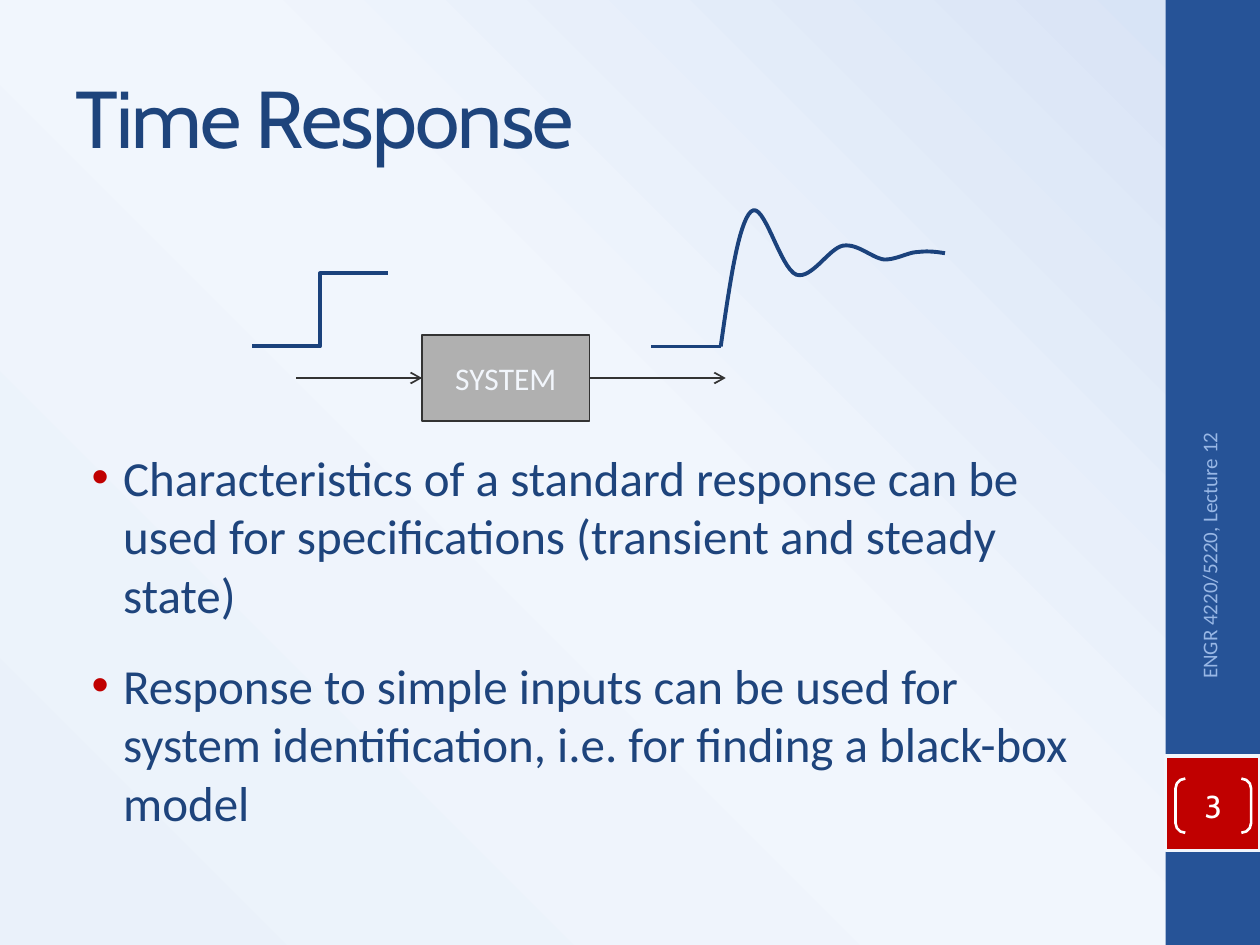
"""Build the Time Response slide: a step into a system and its damped output."""
from dataclasses import dataclass

from lxml import etree
from pptx import Presentation, oxml
from pptx import util as u
from pptx.dml.color import RGBColor
from pptx.enum import shapes, text
from pptx.oxml import ns

SCALE = 9144
KIND, LINK = shapes.MSO_SHAPE, shapes.MSO_CONNECTOR
ALIGN, ANCHOR = text.PP_ALIGN, text.MSO_ANCHOR


@dataclass(frozen=True)
class Theme:
    navy: str = "1E447C"
    curve: str = "1B427C"
    band: str = "265397"
    red: str = "C00000"
    pale: str = "F2F6FC"
    sky: str = "98B7E5"
    grey: str = "B0B0B0"
    dark: str = "333333"
    white: str = "FFFFFF"
    glow: tuple = ((0, "EAF1FA"), (52, "F1F6FD"), (100, "D6E2F5"))
    head: str = "Cabin"
    body: str = "Calibri"
    title: int = 46
    point: int = 28
    label: int = 18
    foot: int = 12


@dataclass(frozen=True)
class Box:
    left: int
    top: int
    width: int
    height: int

    def emu(self) -> list:
        return [px(n) for n in (self.left, self.top, self.width, self.height)]


@dataclass(frozen=True)
class Style:
    font: str
    size: int
    color: str
    align: ALIGN = ALIGN.LEFT
    anchor: ANCHOR = ANCHOR.MIDDLE


@dataclass(frozen=True)
class Wire:
    start: tuple
    end: tuple
    color: str
    weight: float
    kind: LINK = LINK.STRAIGHT
    arrow: bool = False


T = Theme()
TITLE = Style(T.head, T.title, T.navy)
POINT = Style(T.body, T.point, T.navy, anchor=ANCHOR.TOP)
FOOT = Style(T.body, T.foot, T.sky, ALIGN.RIGHT)
LABEL = Style(T.body, T.label, T.pale, ALIGN.CENTER)
PAGE = Style(T.head, T.label, T.white, ALIGN.CENTER)

POINTS = (
    "Characteristics of a standard response can be used for specifications "
    "(transient and steady state)",
    "Response to simple inputs can be used for system identification, "
    "i.e. for finding a black-box model",
)
WAVE = (
    ((579, 226), (586, 177), (596, 168)),
    ((606, 158), (619, 213), (632, 218)),
    ((644, 222), (658, 197), (669, 195)),
    ((681, 193), (692, 205), (702, 206)),
    ((712, 206), (721, 200), (729, 200)),
    ((737, 199), (744, 200), (750, 201)),
)


def px(n: float) -> int:
    return u.Emu(round(n * SCALE))


def rgb(code: str) -> RGBColor:
    return RGBColor.from_string(code)


def apply(target, **values) -> None:
    for name, value in values.items():
        setattr(target, name, value)


def stroke(line, color: str, weight: float) -> None:
    line.color.rgb = rgb(color)
    line.width = u.Pt(weight)


def write(shape, lines: tuple, style: Style) -> list:
    frame = shape.text_frame
    frame.text = "\n".join(lines)
    apply(frame, word_wrap=True, auto_size=text.MSO_AUTO_SIZE.NONE,
          vertical_anchor=style.anchor)
    for para in frame.paragraphs:
        para.alignment = style.align
        font = para.runs[0].font
        apply(font, name=style.font, size=u.Pt(style.size))
        font.color.rgb = rgb(style.color)
    return list(frame.paragraphs)


def block(slide, kind: KIND, box: Box, fill=None, edge=None, weight=1.0):
    shape = slide.shapes.add_shape(kind, *box.emu())
    shape.shadow.inherit = False
    if fill:
        shape.fill.solid()
        shape.fill.fore_color.rgb = rgb(fill)
    else:
        shape.fill.background()
    if edge:
        stroke(shape.line, edge, weight)
    else:
        shape.line.fill.background()
    return shape


def join(slide, wire: Wire):
    ends = [px(n) for n in wire.start + wire.end]
    link = slide.shapes.add_connector(wire.kind, *ends)
    stroke(link.line, wire.color, wire.weight)
    if wire.arrow:
        etree.SubElement(link.line._get_or_add_ln(), ns.qn("a:tailEnd"), type="arrow")
    etree.SubElement(link._element.spPr, ns.qn("a:effectLst"))
    return link


def bend(start: tuple, curves: tuple, steps: int = 16) -> list:
    dots = []
    for one, two, end in curves:
        for step in range(1, steps + 1):
            t = step / steps
            s = 1 - t
            dots.append(tuple(
                s**3 * a + 3 * s * s * t * b + 3 * s * t * t * c + t**3 * d
                for a, b, c, d in zip(start, one, two, end)))
        start = end
    return dots


def trace(slide, start: tuple, curves: tuple) -> None:
    pen = slide.shapes.build_freeform(px(start[0]), px(start[1]))
    pen.add_line_segments([(px(x), px(y)) for x, y in bend(start, curves)], close=False)
    shape = pen.convert_to_shape()
    shape.shadow.inherit = False
    shape.fill.background()
    stroke(shape.line, T.curve, 2.25)


def shade(slide) -> None:
    stops = "".join(f'<a:gs pos="{at * 1000}"><a:srgbClr val="{code}"/></a:gs>'
                    for at, code in T.glow)
    slide.element.cSld.insert(0, oxml.parse_xml(
        f'<p:bg {ns.nsdecls("p", "a")}><p:bgPr><a:gradFill><a:gsLst>{stops}</a:gsLst>'
        '<a:path path="circle"><a:fillToRect l="0" t="100000" r="100000" b="0"/></a:path>'
        '</a:gradFill><a:effectLst/></p:bgPr></p:bg>'))


def mark(para) -> None:
    props = para._p.get_or_add_pPr()
    apply(para, space_before=u.Pt(0), space_after=u.Pt(18))
    props.set("marL", str(px(38)))
    props.set("indent", str(px(-25)))
    tint = etree.SubElement(props, ns.qn("a:buClr"))
    etree.SubElement(tint, ns.qn("a:srgbClr"), val=T.red)
    etree.SubElement(props, ns.qn("a:buFont"), typeface="Arial")
    etree.SubElement(props, ns.qn("a:buChar"), char="•")


def frame(slide) -> None:
    block(slide, KIND.RECTANGLE, Box(925, 0, 75, 750), T.band)
    block(slide, KIND.RECTANGLE, Box(925, 600, 75, 75), T.red, T.pale, 2)
    foot = slide.shapes.add_textbox(*Box(830, 443, 259, 40).emu())
    foot.rotation = 270
    write(foot, ("ENGR 4220/5220, Lecture 12",), FOOT)
    page = block(slide, KIND.DOUBLE_BRACKET, Box(933, 618, 60, 43), None, T.white, 1.5)
    page.adjustments[0] = 0.18
    apply(page.text_frame, margin_left=0, margin_top=0, margin_right=0, margin_bottom=0)
    write(page, ("3",), PAGE)


def words(slide) -> None:
    title = slide.shapes.title
    apply(title, **dict(zip(("left", "top", "width", "height"),
                            Box(50, 30, 833, 125).emu())))
    para, = write(title, ("Time Response",), TITLE)
    para.runs[0].font._element.set("spc", "-100")
    body = slide.shapes.add_textbox(*Box(50, 350, 817, 350).emu())
    for para in write(body, POINTS, POINT):
        mark(para)


def graph(slide) -> None:
    system = block(slide, KIND.RECTANGLE, Box(335, 266, 133, 68), T.grey, T.dark)
    write(system, ("SYSTEM",), LABEL)
    enter = join(slide, Wire((235, 300), (335, 300), T.dark, 1, arrow=True))
    enter.end_connect(system, 1)
    leave = join(slide, Wire((468, 300), (576, 300), T.dark, 1, arrow=True))
    leave.begin_connect(system, 3)
    join(slide, Wire((200, 275), (308, 217), T.curve, 2.25, LINK.ELBOW))
    join(slide, Wire((517, 275), (572, 275), T.curve, 2.25))
    trace(slide, (572, 275), WAVE)


def main() -> None:
    deck = Presentation()
    apply(deck, slide_width=px(1000), slide_height=px(750))
    slide = deck.slides.add_slide(deck.slide_layouts.get_by_name("Title Only"))
    for draw in (shade, frame, words, graph):
        draw(slide)
    deck.save("out.pptx")


if __name__ == "__main__":
    main()
